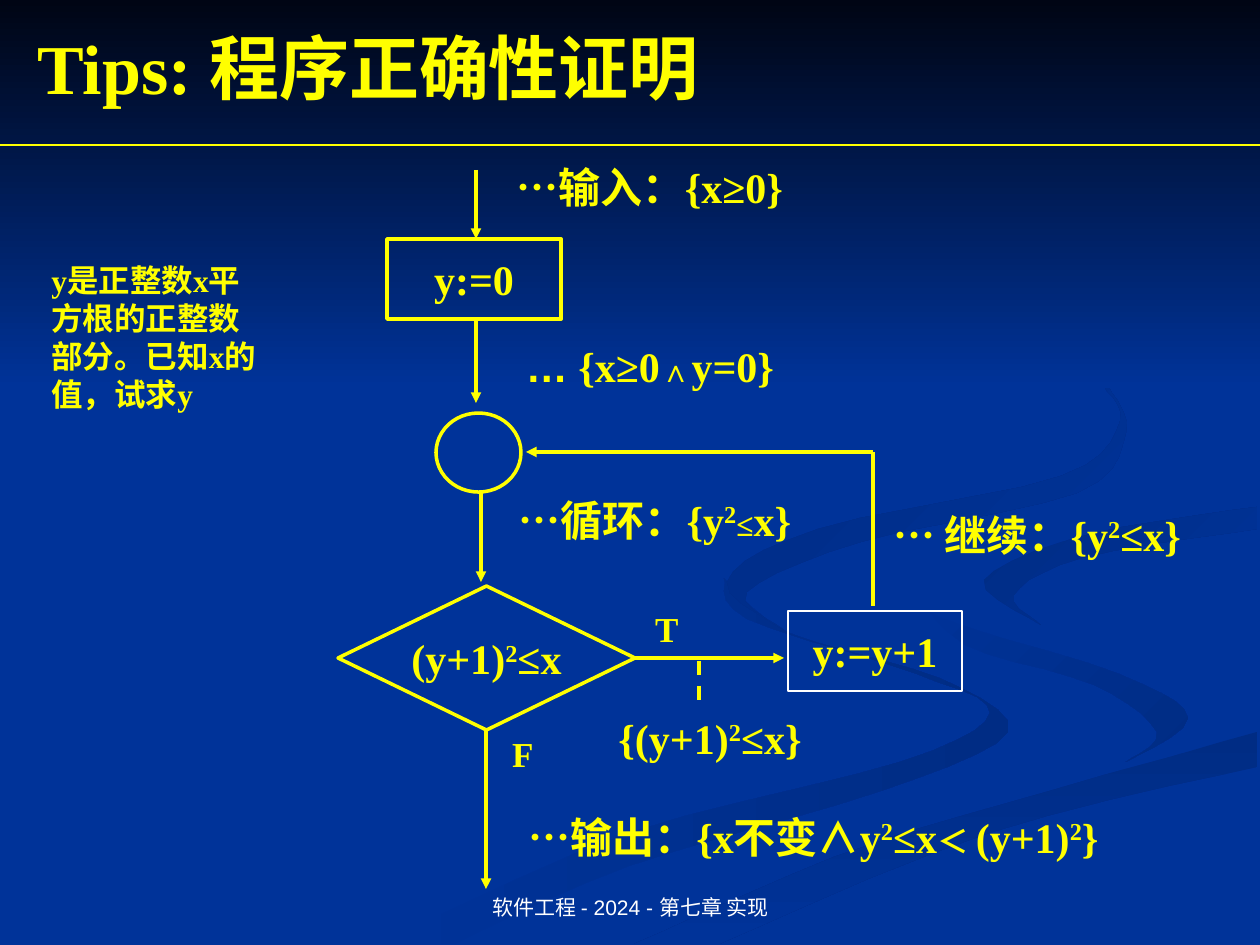
from dataclasses import dataclass

from lxml import etree
from pptx import Presentation
from pptx.dml.color import RGBColor
from pptx.enum.dml import MSO_LINE
from pptx.enum.shapes import MSO_CONNECTOR, MSO_SHAPE
from pptx.enum.text import MSO_ANCHOR, PP_ALIGN
from pptx.oxml.ns import qn
from pptx.util import Pt

PX = 914400 / 126
WIDE, HIGH = 1260, 945

BLUE = RGBColor(0x00, 0x33, 0x99)
DEEP = RGBColor(0x00, 0x2C, 0x84)
NIGHT = RGBColor(0x00, 0x05, 0x14)
YELLOW = RGBColor(0xFF, 0xFF, 0x00)
WHITE = RGBColor(0xFF, 0xFF, 0xFF)

LEFT, CENTER = PP_ALIGN.LEFT, PP_ALIGN.CENTER
TOP, MIDDLE, BOTTOM = MSO_ANCHOR.TOP, MSO_ANCHOR.MIDDLE, MSO_ANCHOR.BOTTOM
STEP, TEST, OVAL = MSO_SHAPE.FLOWCHART_PROCESS, MSO_SHAPE.FLOWCHART_DECISION, MSO_SHAPE.OVAL
BOX, STRAIGHT, DASH = MSO_SHAPE.RECTANGLE, MSO_CONNECTOR.STRAIGHT, MSO_LINE.DASH
SERIF, SANS = "Times New Roman", "Arial"

Point = tuple[int, int]


@dataclass
class Run:
    text: str
    size: int = 24
    font: str = SERIF
    bold: bool = True
    color: RGBColor = YELLOW
    power: bool = False


@dataclass
class Label:
    at: Point
    runs: list[Run]
    size: Point = (328, 63)
    align: PP_ALIGN = CENTER
    anchor: MSO_ANCHOR = TOP


@dataclass
class Node:
    kind: MSO_SHAPE
    at: Point
    size: Point
    runs: list[Run]
    color: RGBColor = YELLOW
    width: float = 2


@dataclass
class Link:
    start: Point
    end: Point
    arrow: bool = True
    width: float = 2
    dash: bool = False


@dataclass
class Swirl:
    first: RGBColor
    last: RGBColor
    angle: int
    edges: list[list[Point]]


DOTS = Run("…", font=SANS)
TWO = Run("2", power=True)
CELL, MARK = (174, 80), (74, 55)

SWIRLS = [
    Swirl(BLUE, DEEP, 0, [
        [(724, 578), (747, 619), (917, 674), (990, 713), (900, 762), (629, 833), (378, 944)],
        [(455, 944), (629, 866), (881, 791), (1008, 732), (939, 678), (789, 633), (724, 578)]]),
    Swirl(BLUE, DEEP, 315, [
        [(912, 585), (939, 617), (1119, 674), (1188, 718), (1126, 762)],
        [(1126, 762), (1157, 732), (1094, 685), (965, 645), (912, 585)]]),
    Swirl(DEEP, BLUE, 270, [
        [(634, 944), (834, 857), (1004, 804), (1257, 732)],
        [(1257, 767), (989, 833), (719, 944)]]),
    Swirl(DEEP, BLUE, 315, [
        [(1257, 507), (1090, 534), (984, 580), (1041, 625)],
        [(1041, 625), (1014, 595), (1082, 558), (1257, 529)]]),
    Swirl(DEEP, BLUE, 315, [
        [(1104, 386), (1120, 422), (1061, 476), (818, 529), (727, 582), (784, 630)],
        [(784, 630), (747, 592), (861, 542), (1077, 493), (1126, 433), (1109, 387)]]),
]

NODES = [
    Node(STEP, (387, 239), CELL, [Run("y:=0")]),
    Node(TEST, (338, 586), (297, 144), [Run("(y+1)"), TWO, Run("≤x")]),
    Node(OVAL, (436, 413), (85, 79), []),
    Node(STEP, (788, 611), CELL, [Run("y:=y+1")], WHITE, 0.75),
]

LINKS = [
    Link((0, 145), (WIDE, 145), arrow=False, width=0.75),
    Link((476, 170), (476, 239)),
    Link((476, 319), (476, 403)),
    Link((481, 493), (481, 582)),
    Link((486, 731), (486, 889)),
    Link((635, 658), (784, 658)),
    Link((873, 452), (526, 452)),
    Link((873, 452), (873, 606), arrow=False),
    Link((699, 661), (699, 701), arrow=False, dash=True),
]

LABELS = [
    Label((630, 601), [Run("T", 20)], MARK),
    Label((486, 726), [Run("F", 20)], MARK),
    Label((486, 155), [DOTS, Run("输入：{x≥0}")]),
    Label((486, 334), [DOTS, Run(" {x≥0"), Run("∧", 18), Run("y=0}")]),
    Label((491, 488), [DOTS, Run("循环：{y"), TWO, Run("≤", 18), Run("x}")]),
    Label((873, 503), [Run("… ", font=SANS), Run("继续：{y"), TWO, Run("≤x}")]),
    Label((546, 706), [Run("{(y+1)"), TWO, Run("≤x}")]),
    Label((481, 805), [DOTS, Run("输出：{x不变∧y"), TWO, Run("≤x"), Run("＜ ", 18),
                       Run("(y+1)"), TWO, Run("}")], (665, 63)),
    Label((39, 255), [Run("y是正整数x平方根的正整数部分。已知x的值，试求y", 18)],
          (238, 164), LEFT),
    Label((431, 861), [Run("软件工程 - 2024 - 第七章 实现", 12, SANS, False, WHITE)],
          (399, 65), CENTER, BOTTOM),
]

TITLE = Label((25, 18), [Run("Tips: 程序正确性证明", 40)], (1211, 97), LEFT, MIDDLE)


def emu(*sizes: int) -> list[int]:
    return [round(size * PX) for size in sizes]


def smooth(knots: list[Point], steps: int = 5) -> list[Point]:
    """Join the knots by a Catmull-Rom curve."""
    ends = [knots[0], *knots, knots[-1]]
    curve = [knots[0]]
    for group in zip(ends, ends[1:], ends[2:], ends[3:]):
        for step in range(1, steps + 1):
            t = step / steps
            curve.append(tuple(
                round(b + t * (c - a + t * (2 * a - 5 * b + 4 * c - d
                                            + t * (3 * (b - c) + d - a))) / 2)
                if t < 1 else c
                for a, b, c, d in zip(*group)))
    return curve


def shade(shape, first: RGBColor, last: RGBColor, angle: int) -> None:
    shape.shadow.inherit = False
    shape.line.fill.background()
    shape.fill.gradient()
    shape.fill.gradient_angle = angle
    for stop, color in zip(shape.fill.gradient_stops, (first, last)):
        stop.color.rgb = color


def write(frame, runs: list[Run], align=CENTER, anchor=MIDDLE, wrap=True) -> None:
    frame.word_wrap = wrap
    frame.vertical_anchor = anchor
    para = frame.paragraphs[0]
    para.alignment = align
    for item in runs:
        run = para.add_run()
        run.text = item.text
        font = run.font
        font.name, font.size, font.bold = item.font, Pt(item.size), item.bold
        font.color.rgb = item.color
        if item.power:
            run._r.get_or_add_rPr().set("baseline", "30000")


def draw_swirl(shapes, swirl: Swirl) -> None:
    start, *rest = [point for edge in swirl.edges for point in smooth(edge)]
    outline = shapes.build_freeform(*start, scale=PX)
    outline.add_line_segments(rest, close=True)
    shade(outline.convert_to_shape(), swirl.first, swirl.last, swirl.angle)


def draw_node(shapes, node: Node) -> None:
    shape = shapes.add_shape(node.kind, *emu(*node.at, *node.size))
    shape.shadow.inherit = False
    shape.fill.background()
    shape.line.color.rgb = node.color
    shape.line.width = Pt(node.width)
    if node.runs:
        write(shape.text_frame, node.runs, wrap=False)


def draw_link(shapes, link: Link) -> None:
    line = shapes.add_connector(STRAIGHT, *emu(*link.start, *link.end))
    line.line.color.rgb = YELLOW
    line.line.width = Pt(link.width)
    if link.dash:
        line.line.dash_style = DASH
    if link.arrow:
        etree.SubElement(line.line._get_or_add_ln(), qn("a:tailEnd"), type="triangle")
    etree.SubElement(line._element.spPr, qn("a:effectLst"))


def draw_label(shapes, label: Label) -> None:
    box = shapes.add_textbox(*emu(*label.at, *label.size))
    write(box.text_frame, label.runs, label.align, label.anchor)


def set_title(shapes, label: Label) -> None:
    """Place the title above the backdrop in the drawing order."""
    title = shapes.title
    title.left, title.top, title.width, title.height = emu(*label.at, *label.size)
    write(title.text_frame, label.runs, label.align, label.anchor)
    shapes._spTree.append(title._element)


def main() -> None:
    deck = Presentation()
    deck.slide_width, deck.slide_height = emu(WIDE, HIGH)
    slide = deck.slides.add_slide(deck.slide_layouts[5])
    slide.background.fill.solid()
    slide.background.fill.fore_color.rgb = BLUE
    shapes = slide.shapes
    for swirl in SWIRLS:
        draw_swirl(shapes, swirl)
    shade(shapes.add_shape(BOX, *emu(0, 0, WIDE, 388)), NIGHT, BLUE, 270)
    set_title(shapes, TITLE)
    for draw, items in ((draw_node, NODES), (draw_link, LINKS), (draw_label, LABELS)):
        for item in items:
            draw(shapes, item)
    deck.save("out.pptx")


if __name__ == "__main__":
    main()
